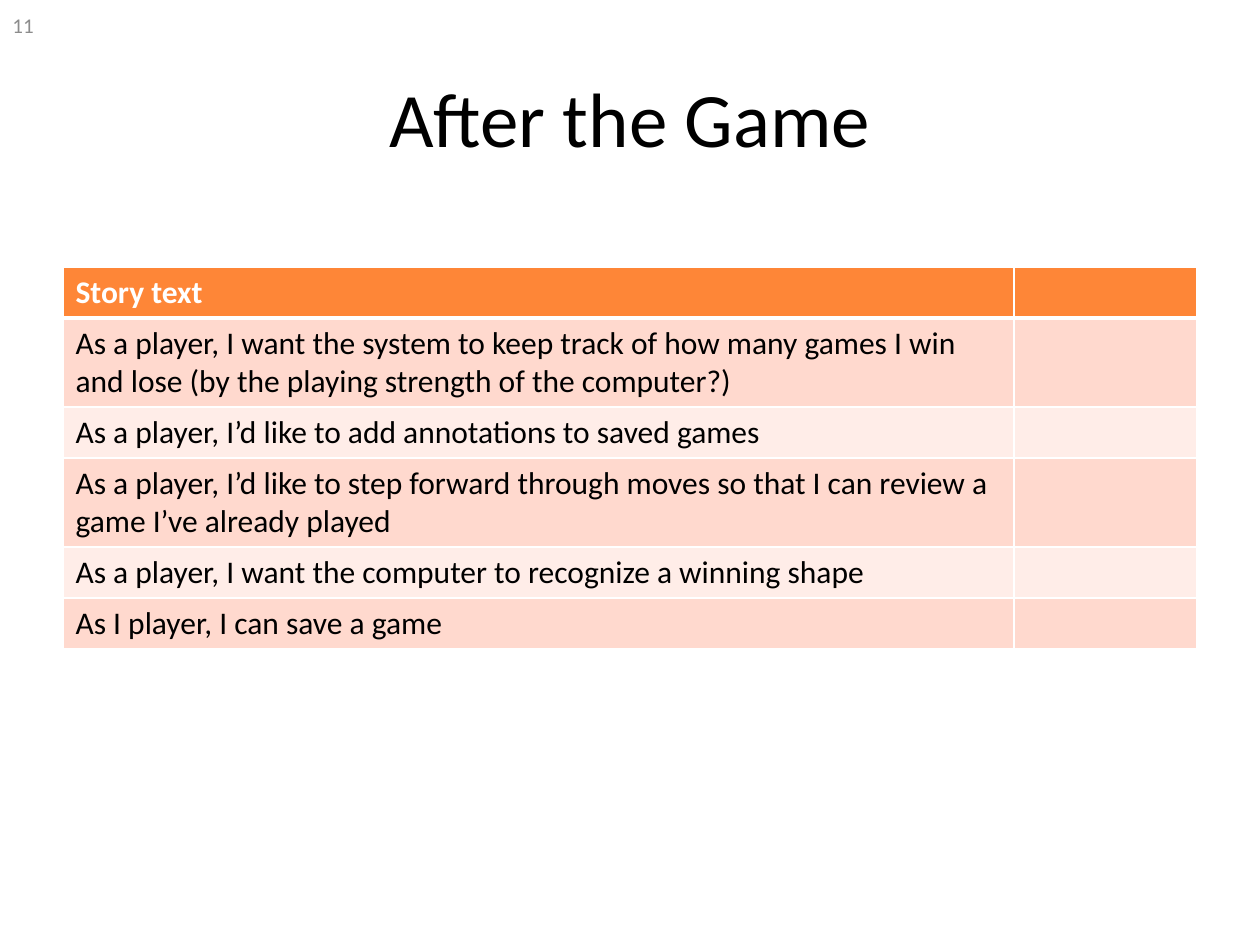
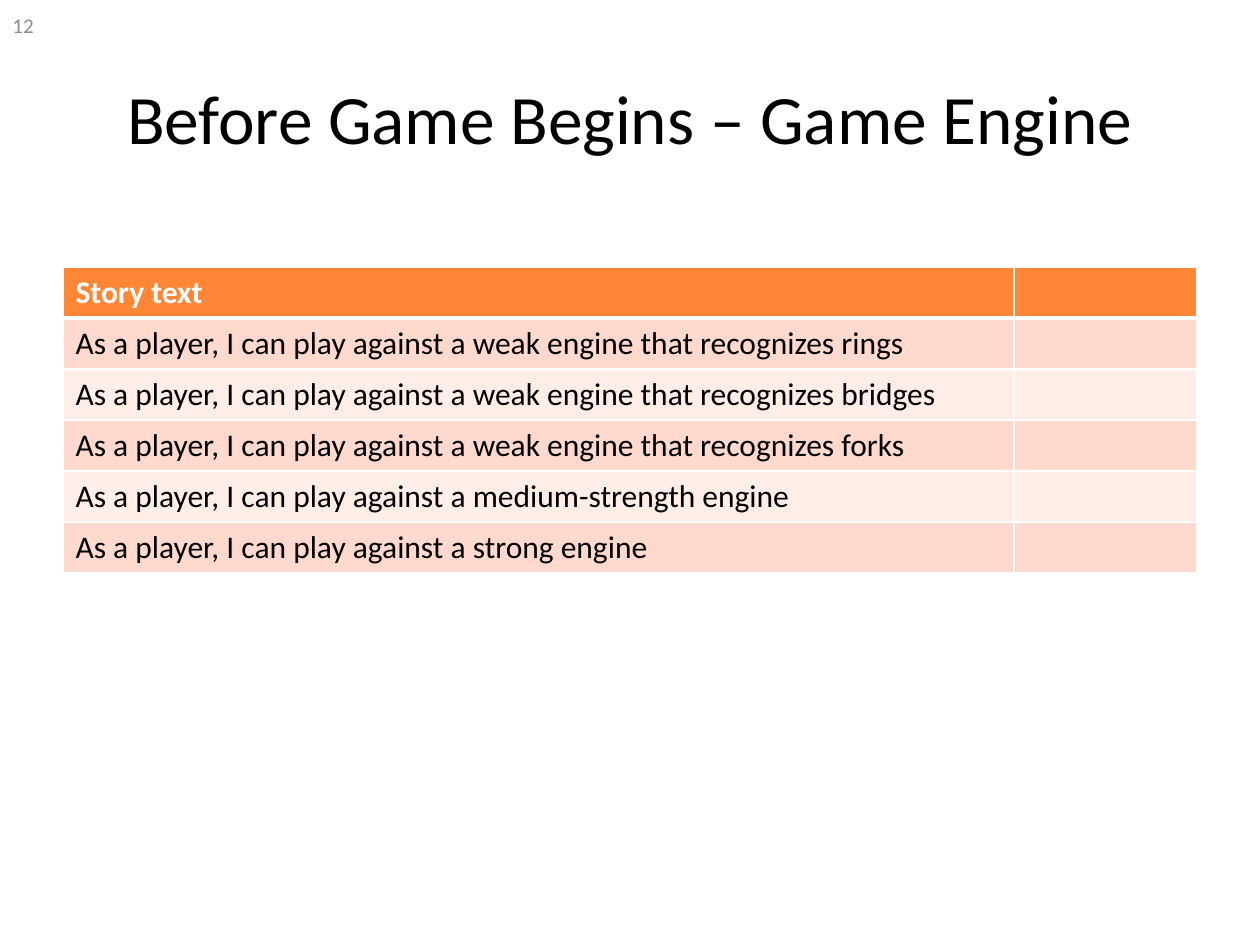
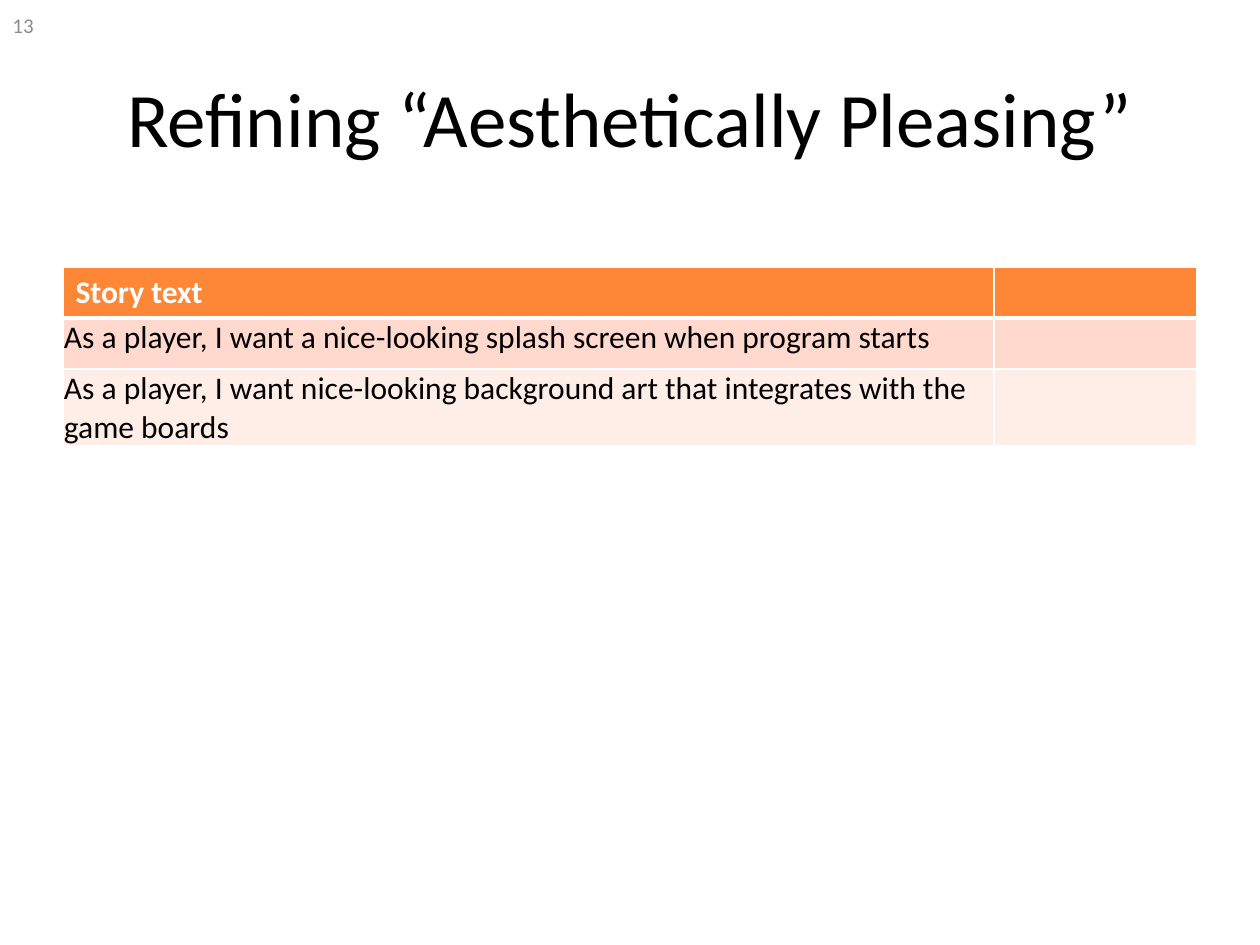
from lxml.etree import SubElement as Sub
from pptx import Presentation
from pptx.dml.color import RGBColor as Rgb
from pptx.enum.text import MSO_ANCHOR as Anchor, PP_ALIGN as Align
from pptx.oxml.ns import qn
from pptx.util import Pt

PX = 914400 / 126
HUES = {"head": "FE8637", "dark": "FFD9CE", "pale": "FFEDE8",
        "white": "FFFFFF", "black": "000000", "gray": "8C8C8C"}
HEAD = {"name": "Calibri", "size": Pt(18), "bold": True}
BODY = {"name": "Calibri", "size": Pt(18), "bold": False}
ROW = 51

PAGES = [
    {"title": "After the Game", "size": 44, "cols": [951, 183], "inset": None,
     "tall": {1: 89, 3: 89},
     "rows": ["As a player, I want the system to keep track of how many games I win and lose (by the playing strength of the computer?)",
              "As a player, I’d like to add annotations to saved games",
              "As a player, I’d like to step forward through moves so that I can review a game I’ve already played",
              "As a player, I want the computer to recognize a winning shape",
              "As I player, I can save a game"]},
    {"title": "Before Game Begins – Game Engine", "size": 39.6,
     "cols": [951, 183], "inset": None, "tall": {},
     "rows": ["As a player, I can play against a " + end for end in (
         "weak engine that recognizes rings",
         "weak engine that recognizes bridges",
         "weak engine that recognizes forks",
         "medium-strength engine",
         "strong engine")]},
    {"title": "Refining “Aesthetically Pleasing”", "size": 44,
     "cols": [931, 203], "tall": {2: 77},
     "inset": {"margin_left": 1, "margin_top": 1, "margin_right": 1, "margin_bottom": 0},
     "rows": ["As a player, I want a nice-looking splash screen when program starts",
              "As a player, I want nice-looking background art that integrates with the game boards"]},
]


def px(*nums):
    return [round(n * PX) for n in nums]


def write(frame, text, form, hue, align=Align.LEFT):
    para = frame.paragraphs[0]
    para.alignment = align
    run = para.add_run()
    run.text = text
    for key, val in form.items():
        setattr(run.font, key, val)
    run.font.color.rgb = Rgb.from_string(HUES[hue])


deck = Presentation()
deck.slide_width, deck.slide_height = px(1260, 945)

for num, page in enumerate(PAGES, 11):
    slide = deck.slides.add_slide(deck.slide_layouts[6])
    for box, text, size, hue, align in (
            ((63, 38, 1134, 158), page["title"], page["size"], "black", Align.CENTER),
            ((0, 0, 294, 50), str(num), 12, "gray", Align.LEFT)):
        frame = slide.shapes.add_textbox(*px(*box)).text_frame
        frame.word_wrap = True
        frame.vertical_anchor = Anchor.MIDDLE
        write(frame, text, {"name": "Calibri", "size": Pt(size)}, hue, align)

    lines = ["Story text"] + page["rows"]
    highs = [page["tall"].get(i, ROW) for i in range(len(lines))]
    table = slide.shapes.add_table(
        len(lines), 2, *px(63, 267, sum(page["cols"]), sum(highs))).table
    for col, wide in zip(table.columns, px(*page["cols"])):
        col.width = wide
    for i, line in enumerate(lines):
        table.rows[i].height = px(highs[i])[0]
        fill = "head" if i == 0 else "dark" if i % 2 else "pale"
        for j, cell in enumerate(table.rows[i].cells):
            props = cell._tc.get_or_add_tcPr()
            for side in "LRTB":
                thick = (i, side) in ((0, "B"), (1, "T"))
                edge = Sub(props, qn("a:ln" + side), w=str(Pt(3 if thick else 1)))
                Sub(Sub(edge, qn("a:solidFill")), qn("a:srgbClr"), val=HUES["white"])
            cell.fill.solid()
            cell.fill.fore_color.rgb = Rgb.from_string(HUES[fill])
            if j == 0:
                if i and page["inset"]:
                    for key, val in page["inset"].items():
                        setattr(cell, key, px(val)[0])
                write(cell.text_frame, line, BODY if i else HEAD,
                      "black" if i else "white")

deck.save("out.pptx")
